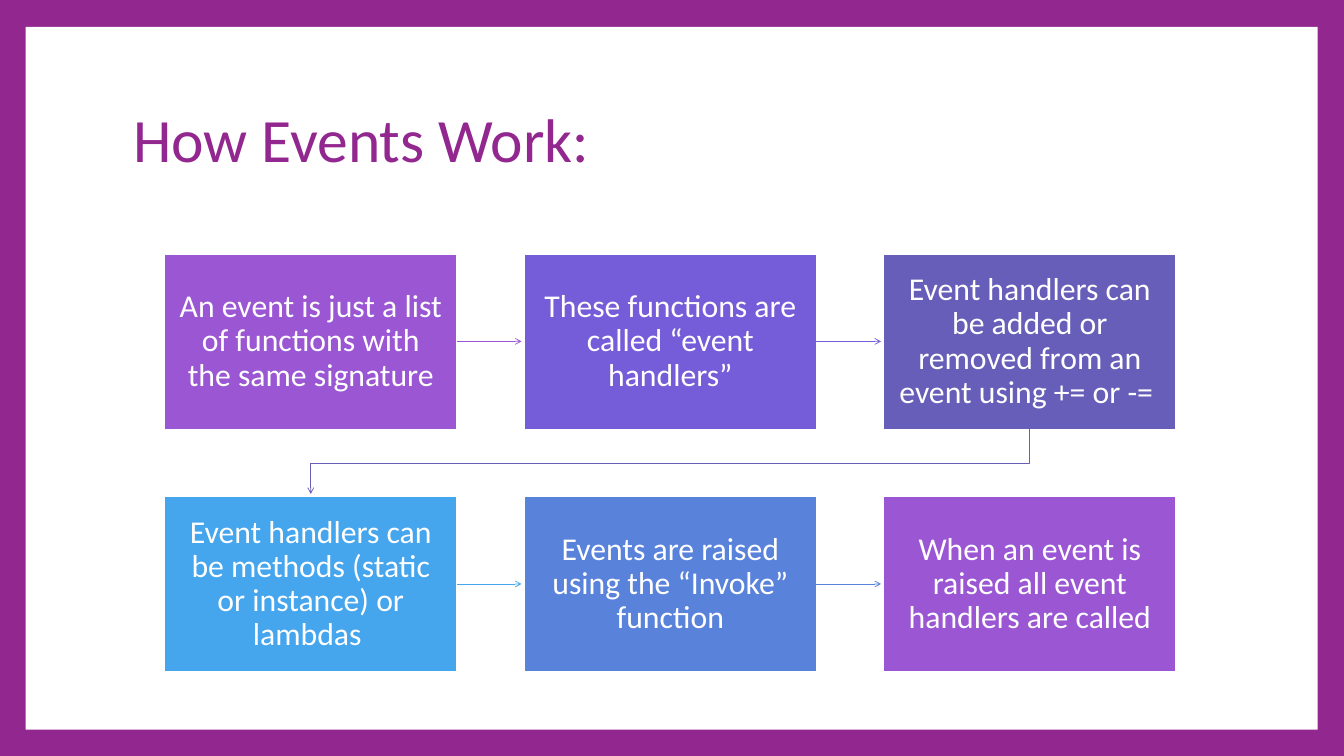
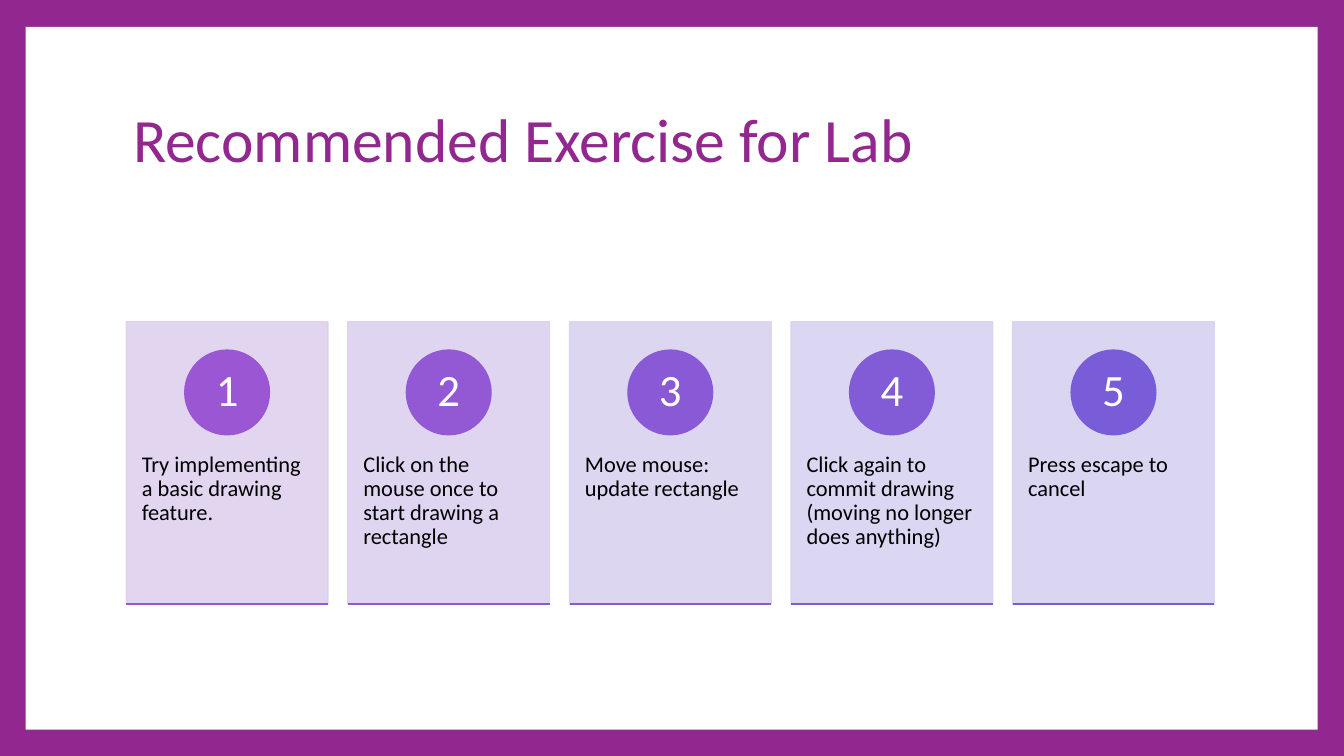
from lxml import etree
from pptx import Presentation
from pptx.dml.color import RGBColor
from pptx.enum.shapes import MSO_CONNECTOR, MSO_SHAPE
from pptx.enum.text import MSO_ANCHOR, PP_ALIGN
from pptx.oxml.ns import qn
from pptx.util import Emu, Pt

RECTANGLE, OVAL = MSO_SHAPE.RECTANGLE, MSO_SHAPE.OVAL
STRAIGHT = MSO_CONNECTOR.STRAIGHT
LEFT, CENTER = PP_ALIGN.LEFT, PP_ALIGN.CENTER
TOP, MIDDLE = MSO_ANCHOR.TOP, MSO_ANCHOR.MIDDLE

FONT = "Calibri"
EMU_PER_PX = 9144
COLORS = {
    "brand": "92278F",
    "paper": "FFFFFF",
    "ink": "000000",
    "orchid": "9B57D3",
    "violet": "755DD9",
    "indigo": "665EB8",
    "sky": "45A5ED",
    "blue": "5982DB",
    "first_card": "DED1EF",
    "last_card": "D6D2F1",
}

TITLE_FORMAT = {"size": 66, "color": "brand", "align": LEFT, "anchor": MIDDLE, "margins": (10, 5, 10, 5)}
STEP_FORMAT = {"size": 34, "color": "paper", "align": CENTER, "anchor": MIDDLE, "margins": (21, 22, 21, 22)}
CARD_FORMAT = {"size": 24, "color": "ink", "align": LEFT, "anchor": TOP, "margins": (23, 195, 23, 36)}
NUMBER_FORMAT = {"size": 48, "color": "paper", "align": CENTER, "anchor": MIDDLE, "margins": (10, 1, 10, 1)}

EVENT_STEPS = [
    ("An event is just a list of functions with the same signature", "orchid"),
    ("These functions are called “event handlers”", "violet"),
    ("Event handlers can be added or removed from an event using += or -= ", "indigo"),
    ("Event handlers can be methods (static or instance) or lambdas ", "sky"),
    ("Events are raised using the “Invoke” function", "blue"),
    ("When an event is raised all event handlers are called", "orchid"),
]
EXERCISES = [
    "Try implementing a basic drawing feature.",
    "Click on the mouse once to start drawing a rectangle",
    "Move mouse: update rectangle",
    "Click again to commit drawing (moving no longer does anything)",
    "Press escape to cancel",
]


def px(length):
    return Emu(round(length * EMU_PER_PX))


def rgb(color):
    return RGBColor.from_string(COLORS.get(color, color))


def blend(start, end, share):
    pairs = zip(rgb(start), rgb(end))
    return "".join(f"{round(a + (b - a) * share):02X}" for a, b in pairs)


def write(shape, text, style):
    frame = shape.text_frame
    frame.word_wrap = True
    frame.vertical_anchor = style["anchor"]
    for side, margin in zip(("left", "top", "right", "bottom"), style["margins"]):
        setattr(frame, f"margin_{side}", px(margin))
    paragraph = frame.paragraphs[0]
    paragraph.alignment = style["align"]
    paragraph.line_spacing = 0.9
    run = paragraph.add_run()
    run.text = text
    for name, value in {"name": FONT, "size": Pt(style["size"])}.items():
        setattr(run.font, name, value)
    run.font.color.rgb = rgb(style["color"])


def add_block(slide, kind, box, fill, outline):
    block = slide.shapes.add_shape(kind, *map(px, box))
    block.shadow.inherit = False
    block.fill.solid()
    block.fill.fore_color.rgb = rgb(fill)
    block.line.color.rgb = rgb(outline)
    block.line.width = Pt(1.5)
    return block


def make_translucent(shape, percent):
    for color in shape._element.spPr.iter(qn("a:srgbClr")):
        etree.SubElement(color, qn("a:alpha"), val=str(percent * 1000))


def add_line(slide, start, end, color, width):
    line = slide.shapes.add_connector(STRAIGHT, *map(px, (*start, *end)))
    line.line.color.rgb = rgb(color)
    line.line.width = Pt(width)
    etree.SubElement(line._element.spPr, qn("a:effectLst"))
    return line


def add_arrowhead(line):
    etree.SubElement(line.line._get_or_add_ln(), qn("a:tailEnd"), type="arrow")


def add_bent_arrow(slide, points, color):
    corners = [(px(x), px(y)) for x, y in points]
    builder = slide.shapes.build_freeform(*corners[0])
    builder.add_line_segments(corners[1:], close=False)
    arrow = builder.convert_to_shape()
    arrow.shadow.inherit = False
    arrow.fill.background()
    arrow.line.color.rgb = rgb(color)
    arrow.line.width = Pt(0.79)
    add_arrowhead(arrow)


def set_up_theme(prs, layout, slide):
    master = prs.slide_master
    master.background.fill.solid()
    master.background.fill.fore_color.rgb = rgb("brand")
    panel = add_block(slide, RECTANGLE, (38, 40, 1923, 1046), "paper", "paper")
    panel.line.fill.background()
    master.shapes._spTree.insert(2, panel._element)
    title = layout.placeholders[0]
    for name, length in {"left": 188, "top": 100, "width": 1620, "height": 223}.items():
        setattr(title, name, px(length))


def add_event_flow(slide):
    columns, width, height = 3, 435, 261
    left, top, pitch_x, pitch_y = 245, 378, 535, 361
    for index, (text, color) in enumerate(EVENT_STEPS):
        row, column = divmod(index, columns)
        x, y = left + column * pitch_x, top + row * pitch_y
        step = add_block(slide, RECTANGLE, (x, y, width, height), color, "paper")
        write(step, text, STEP_FORMAT)
        if column < columns - 1:
            middle = y + height // 2
            add_arrowhead(add_line(slide, (x + width, middle), (x + width + 96, middle), color, 0.79))
        elif index < len(EVENT_STEPS) - 1:
            start_x, end_x = x + width / 2, left + width / 2
            bottom = y + height
            turn = bottom + 50
            add_bent_arrow(slide, [(start_x, bottom), (start_x, turn), (end_x, turn), (end_x, bottom + 96)], color)


def add_exercise_cards(slide):
    left, top, span, width, height, circle = 188, 479, 1619, 300, 420, 126
    last = len(EXERCISES) - 1
    pitch = (span - width) / last
    shades = 2 * last + 1
    for index, text in enumerate(EXERCISES):
        x, bottom = left + index * pitch, top + height
        tint = blend("first_card", "last_card", index / last)
        card = add_block(slide, RECTANGLE, (x, top, width, height), tint, tint)
        make_translucent(card, 90)
        write(card, text, CARD_FORMAT)
        shade = blend("orchid", "violet", 2 * index / shades)
        badge = add_block(slide, OVAL, (x + (width - circle) / 2, top + 42, circle, circle), shade, shade)
        write(badge, str(index + 1), NUMBER_FORMAT)
        edge = blend("orchid", "violet", (2 * index + 1) / shades)
        add_line(slide, (x, bottom), (x + width, bottom), edge, 1.5)


def main():
    prs = Presentation()
    prs.slide_width, prs.slide_height = px(2000), px(1125)
    layout = prs.slide_layouts[5]
    content = {"How Events Work:": add_event_flow, "Recommended Exercise for Lab": add_exercise_cards}
    for title, add_content in content.items():
        slide = prs.slides.add_slide(layout)
        write(slide.shapes.title, title, TITLE_FORMAT)
        add_content(slide)
    set_up_theme(prs, layout, slide)
    prs.save("out.pptx")


if __name__ == "__main__":
    main()
